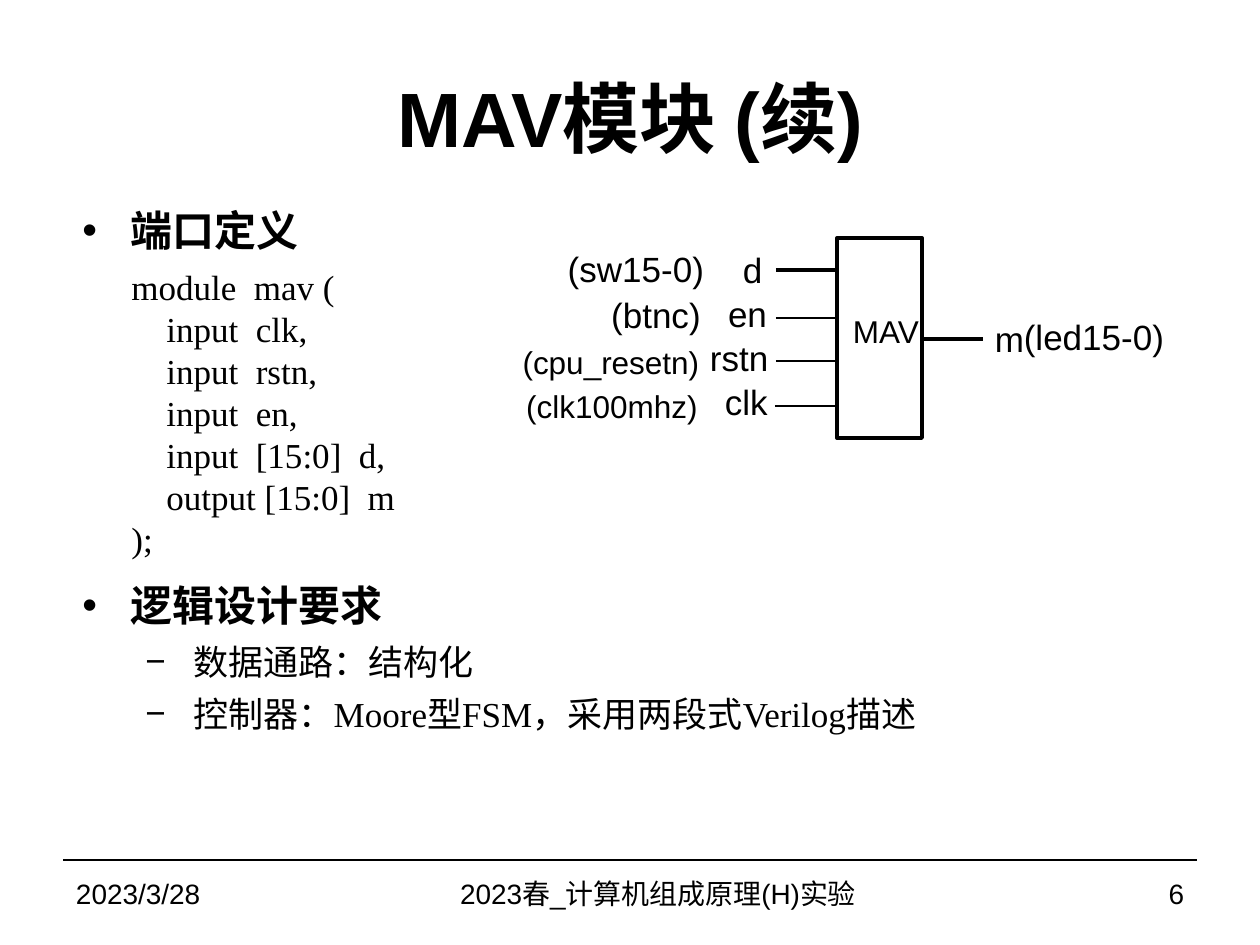
import pptx
import pptx.util
import pptx.dml.color
import pptx.enum.shapes
import pptx.enum.text
import pptx.oxml

PX = 914400 / 126
BLACK = "000000"
SANS = "Arial"
SERIF = "Times New Roman"
ALIGN = pptx.enum.text.PP_ALIGN
MIDDLE = pptx.enum.text.MSO_ANCHOR.MIDDLE


def px(n):
    return pptx.util.Emu(round(n * PX))


def color(code):
    return pptx.dml.color.RGBColor.from_string(code)


def place(shape, left, top, width, height):
    shape.left, shape.top = px(left), px(top)
    shape.width, shape.height = px(width), px(height)


def style(para, size, name=SANS, bold=False):
    for run in para.runs:
        run.font.size = pptx.util.Pt(size)
        run.font.name = name
        run.font.bold = bold
        run.font.color.rgb = color(BLACK)


def add_title(slide, text):
    title = slide.shapes.title
    place(title, 63, 38, 1134, 157)
    frame = title.text_frame
    frame.text = text
    frame.vertical_anchor = MIDDLE
    para = frame.paragraphs[0]
    para.alignment = ALIGN.CENTER
    style(para, 44, bold=True)


def add_text(slide, text, box, size, align=ALIGN.LEFT, inset=0):
    shape = slide.shapes.add_textbox(*map(px, box))
    frame = shape.text_frame
    frame.text = text
    frame.word_wrap = inset > 0
    frame.vertical_anchor = MIDDLE
    frame.margin_left = frame.margin_right = px(inset)
    frame.margin_top = frame.margin_bottom = 0
    para = frame.paragraphs[0]
    para.alignment = align
    style(para, size)


def add_line(slide, start, end, width):
    kind = pptx.enum.shapes.MSO_CONNECTOR.STRAIGHT
    line = slide.shapes.add_connector(kind, *map(px, start + end))
    line.line.color.rgb = color(BLACK)
    line.line.width = pptx.util.Pt(width)
    props = line._element.spPr
    props.append(props.makeelement(pptx.oxml.ns.qn("a:effectLst"), {}))


def add_block(slide, left, top, width, height):
    kind = pptx.enum.shapes.MSO_SHAPE.RECTANGLE
    shape = slide.shapes.add_shape(kind, *map(px, (left, top, width, height)))
    shape.shadow.inherit = False
    shape.fill.background()
    shape.line.color.rgb = color(BLACK)
    shape.line.width = pptx.util.Pt(2.25)


def indent(para, left, mark):
    props = para._p.get_or_add_pPr()
    props.set("marL", str(px(left)))
    props.set("indent", str(px(-48 if mark else 0)))
    if mark:
        font = props.makeelement(pptx.oxml.ns.qn("a:buFont"), {"typeface": SANS})
        char = props.makeelement(pptx.oxml.ns.qn("a:buChar"), {"char": mark})
        props.extend([font, char])


def add_body(slide, rows):
    shape = slide.shapes.add_textbox(*map(px, (70, 200, 1095, 549)))
    frame = shape.text_frame
    frame.word_wrap = True
    frame.text = "\n".join(row[0] for row in rows)
    for para, (text, left, mark, before) in zip(frame.paragraphs, rows):
        head = mark == "•"
        para.space_before = pptx.util.Pt(before)
        para.line_spacing = pptx.util.Pt(28 if head else 24)
        indent(para, left, mark)
        style(para, 24 if head else 20, SERIF, head)


def add_module(slide):
    ports = [
        ("d", 743, 270, 270, 24, 776, 2.25),
        ("en", 728, 314, 318, 46, 776, 1.5),
        ("rstn", 710, 357, 361, 64, 776, 1.5),
        ("clk", 725, 402, 406, 48, 775, 1.5),
    ]
    for name, left, mid, wire, width, start, weight in ports:
        add_text(slide, name, (left, mid - 23, width, 46), 20)
        add_line(slide, (start, wire), (837, wire), weight)
    pins = [
        ("(sw15-0)", 561, 249, 150, 20),
        ("(btnc)", 601, 296, 110, 20),
        ("(cpu_resetn)", 516, 343, 190, 18),
        ("(clk100mhz)", 517, 387, 190, 18),
        ("(led15-0)", 1019, 318, 150, 20),
    ]
    for name, left, top, width, size in pins:
        add_text(slide, name, (left, top, width, 38), size, ALIGN.CENTER)
    add_block(slide, 837, 238, 85, 200)
    add_text(slide, "MAV", (853, 312, 69, 38), 18)
    add_line(slide, (922, 339), (983, 339), 2.25)
    add_text(slide, "m", (987, 315, 45, 46), 20, ALIGN.CENTER)


def add_footer(slide):
    add_line(slide, (63, 860), (1197, 860), 0.75)
    parts = [
        ("2023/3/28", 63, 294, ALIGN.LEFT),
        ("2023春_计算机组成原理(H)实验", 354, 608, ALIGN.CENTER),
        ("6", 977, 220, ALIGN.RIGHT),
    ]
    for text, left, width, align in parts:
        add_text(slide, text, (left, 860, width, 66), 16, align, 13)


def main():
    deck = pptx.Presentation()
    deck.slide_width, deck.slide_height = px(1260), px(945)
    slide = deck.slides.add_slide(deck.slide_layouts[5])
    add_title(slide, "MAV模块 (续)")
    inputs = ["input  clk,", "input  rstn,", "input  en,",
              "input  [15:0]  d,", "output [15:0]  m"]
    add_body(slide, [
        ("端口定义", 48, "•", 3),
        ("module  mav (", 49, "", 6),
        *[(text, 84, "", 0) for text in inputs],
        (");", 49, "", 0),
        ("逻辑设计要求", 48, "•", 12),
        ("数据通路：结构化", 111, "−", 6),
        ("控制器：Moore型FSM，采用两段式Verilog描述", 111, "−", 6),
    ])
    add_module(slide)
    add_footer(slide)
    deck.save("out.pptx")


if __name__ == "__main__":
    main()
